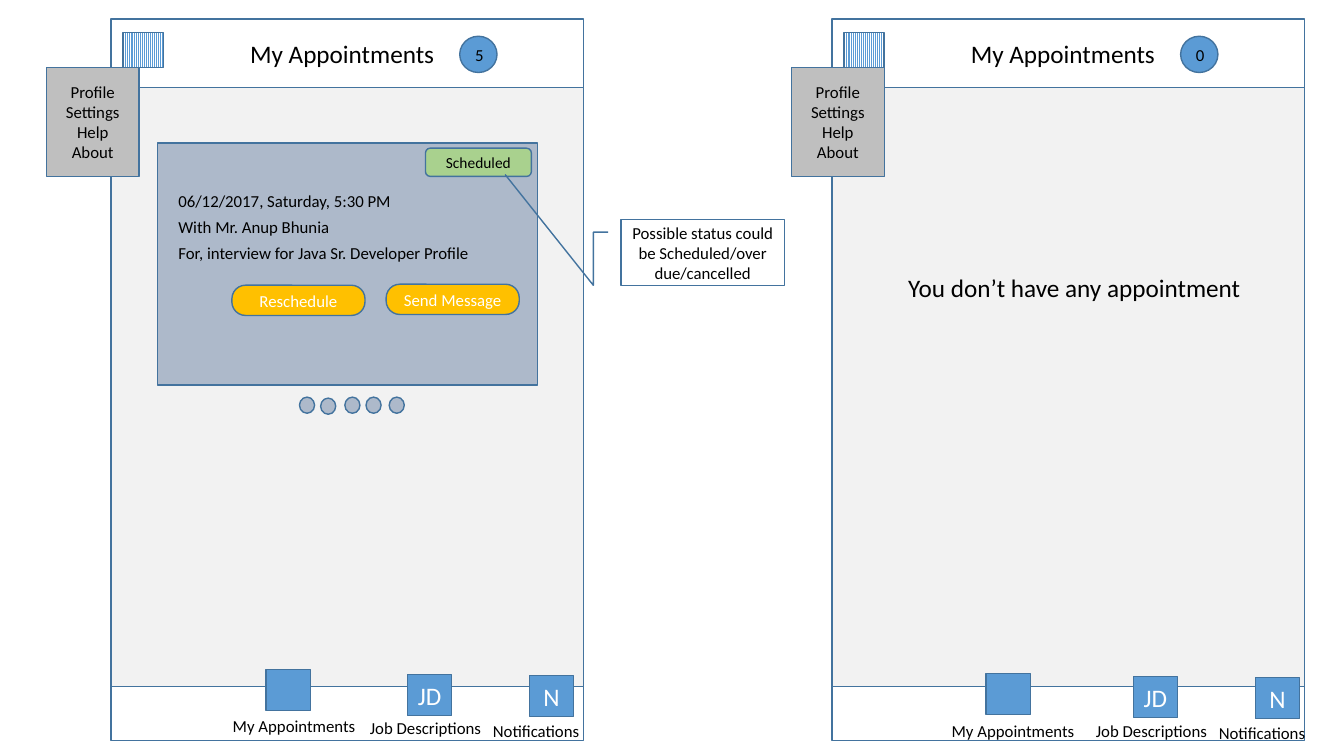
from pptx import Presentation
from pptx.dml.color import RGBColor
from pptx.enum.dml import MSO_PATTERN as Pat
from pptx.enum.shapes import MSO_SHAPE as Form
from pptx.enum.text import MSO_ANCHOR as Anchor, MSO_AUTO_SIZE as Auto, PP_ALIGN as Align
from pptx.util import Inches, Pt

# Content
HEAD = "My Appointments"
MENU = ["Profile", "Settings", "Help", "About"]
FACTS = ["06/12/2017, Saturday, 5:30 PM", "With Mr. Anup Bhunia",
         "For, interview for Java Sr. Developer Profile"]
STATUS = "Scheduled"
NOTE = "Possible status could be Scheduled/over due/cancelled"
EMPTY = "You don’t have any appointment"
BUTTONS = [("Reschedule", 2.3, 2.83), ("Send Message", 3.83, 2.82)]
TABS = [("", "My Appointments", 1.43), ("JD", "Job Descriptions", 1.32),
        ("N", "Notifications", 1.07)]
# Tab spots count from the screen's left edge: icon x, icon y, label x, label y
SCREENS = [
    dict(left=1.1, count="5", menu=0.46,
         spots=[(1.54, 6.64, 1.11, 7.05), (2.94, 6.69, 2.47, 7.07), (4.15, 6.7, 3.69, 7.1)]),
    dict(left=8.25, count="0", menu=7.85,
         spots=[(1.53, 6.68, 1.09, 7.1), (2.99, 6.71, 2.52, 7.1), (4.2, 6.72, 3.74, 7.12)]),
]
DOTS = [(2.97, 3.94), (3.18, 3.95), (3.42, 3.94), (3.63, 3.94), (3.86, 3.94)]

HEX = dict(white="FFFFFF", black="000000", line="43739E", page="F2F2F2", blue="5B9BD5",
           card="ADB9CA", menu="BFBFBF", green="A9D18E", gold="FFC000")
FONT = "Calibri"
WIDE, TOP, TALL = 4.69, 0.19, 7.16      # phone screen
BODY, DEEP = 0.87, 5.94                 # grey area inside it
ROW = 0.26                              # step between card lines

deck = Presentation()
deck.slide_width, deck.slide_height = Inches(13.33), Inches(7.5)
slide = deck.slides.add_slide(deck.slide_layouts[5])
root = slide.shapes


def tone(name):
    return RGBColor.from_string(HEX[name])


def write(frame, text, size=12, color="black", align=Align.CENTER,
          anchor=Anchor.MIDDLE, wrap=True, auto=Auto.NONE):
    frame.word_wrap, frame.auto_size, frame.vertical_anchor = wrap, auto, anchor
    rows = [text] if isinstance(text, str) else text
    for n, row in enumerate(rows):
        para = frame.add_paragraph() if n else frame.paragraphs[0]
        para.alignment = align
        run = para.add_run()
        run.text = row
        run.font.name, run.font.size = FONT, Pt(size)
        run.font.color.rgb = tone(color)


def draw(x, y, w, h, fill=None, form=Form.RECTANGLE, text="", adj=(), home=root, **style):
    shape = home.add_shape(form, Inches(x), Inches(y), Inches(w), Inches(h))
    shape.shadow.inherit = False
    shape.line.color.rgb, shape.line.width = tone("line"), Pt(1)
    if fill:
        shape.fill.solid()
        shape.fill.fore_color.rgb = tone(fill)
    else:
        shape.fill.background()
    for n, share in enumerate(adj):
        shape.adjustments[n] = share
    if text:
        write(shape.text_frame, text, **style)
    return shape


def label(x, y, w, h, text, size=12, home=root):
    box = home.add_textbox(Inches(x), Inches(y), Inches(w), Inches(h))
    write(box.text_frame, text, size=size, align=Align.LEFT, anchor=Anchor.TOP,
          wrap=False, auto=Auto.SHAPE_TO_FIT_TEXT)


def title(x, y, w, h):
    box = root.title
    box.left, box.top, box.width, box.height = (Inches(v) for v in (x, y, w, h))
    write(box.text_frame, HEAD, size=18, align=Align.LEFT, anchor=Anchor.TOP, wrap=False)
    root.element.append(box.element)    # bring in front of the screen


# Both phone screens
for n, screen in enumerate(SCREENS):
    left = screen["left"]
    draw(left, TOP, WIDE, TALL, "white")
    draw(left, BODY, WIDE, DEEP, "page")
    spot = (left + 1.28, 0.33, 2.05, 0.4)
    if n:
        label(*spot, HEAD, size=18)
    else:
        title(*spot)
    draw(left + 3.46, 0.36, 0.37, 0.36, "blue", Form.OVAL, screen["count"])
    icon = draw(left + 0.12, 0.32, 0.4, 0.35)
    icon.fill.patterned()
    icon.fill.pattern = Pat.LIGHT_VERTICAL
    icon.fill.fore_color.rgb, icon.fill.back_color.rgb = tone("blue"), tone("white")
    draw(screen["menu"], 0.67, 0.92, 1.08, "menu", text=MENU)
    for (mark, name, w), (ix, iy, lx, ly) in zip(TABS, screen["spots"]):
        draw(left + ix, iy, 0.44, 0.41, "blue", text=mark, size=18, color="white")
        label(left + lx, ly, w, 0.3, name)

# Appointment card with its page dots
card = root.add_group_shape().shapes
draw(1.56, 1.42, 3.77, 2.4, "card", home=card)
for x, y in DOTS:
    draw(x, y, 0.15, 0.16, "card", Form.OVAL, home=card)
for n, (fact, w) in enumerate(zip(FACTS, (2.34, 1.71, 3.11))):
    label(1.67, 1.84 + n * ROW, w, 0.3, fact, home=card)

# Status, buttons and callout
draw(4.22, 1.47, 1.05, 0.28, "green", Form.ROUNDED_RECTANGLE, STATUS, size=11)
for name, x, y in BUTTONS:
    draw(x, y, 1.32, 0.3, "gold", Form.ROUNDED_RECTANGLE, name, adj=[0.45], color="white")
draw(6.16, 2.18, 1.62, 0.65, form=Form.LINE_CALLOUT_3, text=NOTE,
     adj=[0.19, -0.08, 0.19, -0.17, 1, -0.17, -0.69, -0.71])

# Empty state
label(8.91, 2.65, 3.54, 0.4, EMPTY, size=18)

deck.save("out.pptx")
